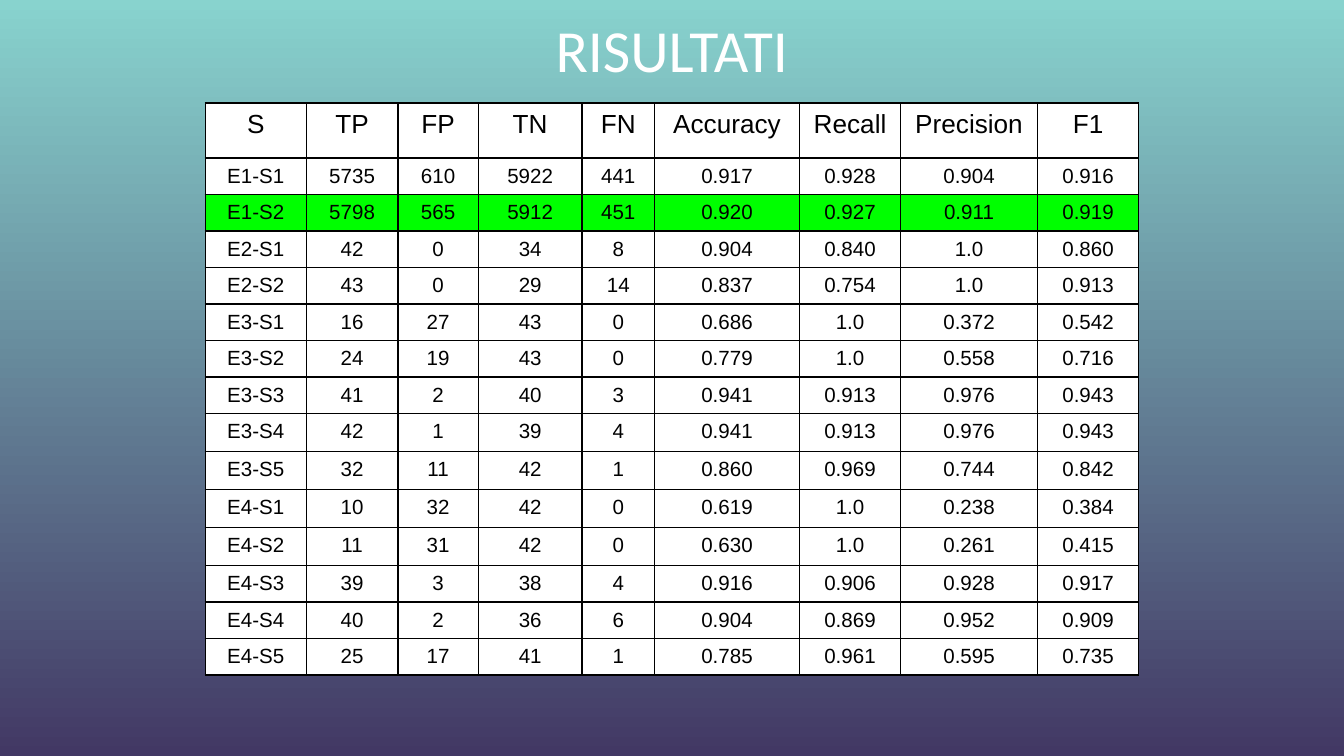
import lxml.etree
import pptx
import pptx.dml.color
import pptx.enum.text
import pptx.oxml.ns
import pptx.util

Cm = pptx.util.Cm
Pt = pptx.util.Pt

HEADER = "S TP FP TN FN Accuracy Recall Precision F1".split()
RESULTS = """
E1-S1 5735 610 5922 441 0.917 0.928 0.904 0.916
E1-S2 5798 565 5912 451 0.920 0.927 0.911 0.919
E2-S1 42 0 34 8 0.904 0.840 1.0 0.860
E2-S2 43 0 29 14 0.837 0.754 1.0 0.913
E3-S1 16 27 43 0 0.686 1.0 0.372 0.542
E3-S2 24 19 43 0 0.779 1.0 0.558 0.716
E3-S3 41 2 40 3 0.941 0.913 0.976 0.943
E3-S4 42 1 39 4 0.941 0.913 0.976 0.943
E3-S5 32 11 42 1 0.860 0.969 0.744 0.842
E4-S1 10 32 42 0 0.619 1.0 0.238 0.384
E4-S2 11 31 42 0 0.630 1.0 0.261 0.415
E4-S3 39 3 38 4 0.916 0.906 0.928 0.917
E4-S4 40 2 36 6 0.904 0.869 0.952 0.909
E4-S5 25 17 41 1 0.785 0.961 0.595 0.735
"""
COLUMN_WIDTHS = [1.91, 1.73, 1.52, 1.96, 1.37, 2.74, 1.91, 2.59, 1.91]
TALL_ROWS = {"E3-S4", "E3-S5", "E4-S1", "E4-S2"}
BEST_ROW = "E1-S2"


def color(value):
    return pptx.dml.color.RGBColor.from_string(value)


def apply(target, values):
    for name, value in values.items():
        setattr(target, name, value)


class ResultsSlide:
    title_font = {"name": "Calibri", "size": Pt(32), "bold": False}
    header_font = {"name": "Arial", "size": Pt(14), "bold": False}
    cell_font = {"name": "Arial", "size": Pt(11), "bold": False}
    ink, paper, highlight = "000000", "FFFFFF", "00FF00"

    def __init__(self, deck):
        self.page = deck.slides.add_slide(deck.slide_layouts[5])

    def background(self, top, bottom):
        fill = self.page.background.fill
        fill.gradient()
        fill.gradient_angle = 270
        for stop, value, position in zip(fill.gradient_stops, (top, bottom), (0, 1)):
            stop.color.rgb = color(value)
            stop.position = position

    def centered_text(self, frame, text, font, ink):
        frame.text = text
        para = frame.paragraphs[0]
        para.alignment = pptx.enum.text.PP_ALIGN.CENTER
        span = para.runs[0]
        apply(span.font, font)
        span.font.color.rgb = color(ink)

    def title(self, text, left, top, width, height):
        box = self.page.shapes.title
        apply(box, {"left": Cm(left), "top": Cm(top),
                    "width": Cm(width), "height": Cm(height)})
        inset = Cm(0.25)
        apply(box.text_frame, {
            "margin_left": inset, "margin_right": inset,
            "margin_top": inset, "margin_bottom": inset,
            "vertical_anchor": pptx.enum.text.MSO_ANCHOR.TOP,
            "auto_size": pptx.enum.text.MSO_AUTO_SIZE.NONE,
            "word_wrap": True,
        })
        self.centered_text(box.text_frame, text, self.title_font, self.paper)

    def border(self, cell):
        qn = pptx.oxml.ns.qn
        properties = cell._tc.get_or_add_tcPr()
        for side in ("lnL", "lnR", "lnT", "lnB"):
            line = lxml.etree.SubElement(properties, qn(f"a:{side}"), w=str(Pt(1)))
            fill = lxml.etree.SubElement(line, qn("a:solidFill"))
            lxml.etree.SubElement(fill, qn("a:srgbClr"), val=self.ink)

    def table(self, rows, left, top, widths, heights):
        table = self.page.shapes.add_table(
            len(rows), len(widths), Cm(left), Cm(top),
            Cm(sum(widths)), Cm(sum(heights))).table
        apply(table, {"first_row": False, "horz_banding": False})
        for column, width in zip(table.columns, widths):
            column.width = Cm(width)
        for index, (row, values, height) in enumerate(zip(table.rows, rows, heights)):
            row.height = Cm(height)
            font = self.cell_font if index else self.header_font
            shade = self.highlight if values[0] == BEST_ROW else self.paper
            for cell, value in zip(row.cells, values):
                self.border(cell)
                cell.fill.solid()
                cell.fill.fore_color.rgb = color(shade)
                self.centered_text(cell.text_frame, value, font, self.ink)


def main():
    deck = pptx.Presentation()
    apply(deck, {"slide_width": Cm(25.4), "slide_height": Cm(14.29)})
    slide = ResultsSlide(deck)
    slide.background("88D3CE", "423864")
    results = [line.split() for line in RESULTS.strip().splitlines()]
    heights = [1.04] + [0.72 if row[0] in TALL_ROWS else 0.69 for row in results]
    slide.table([HEADER] + results, 3.88, 1.95, COLUMN_WIDTHS, heights)
    slide.title("RISULTATI", 5.57, 0, 14.26, 1.6)
    deck.save("out.pptx")


if __name__ == "__main__":
    main()
